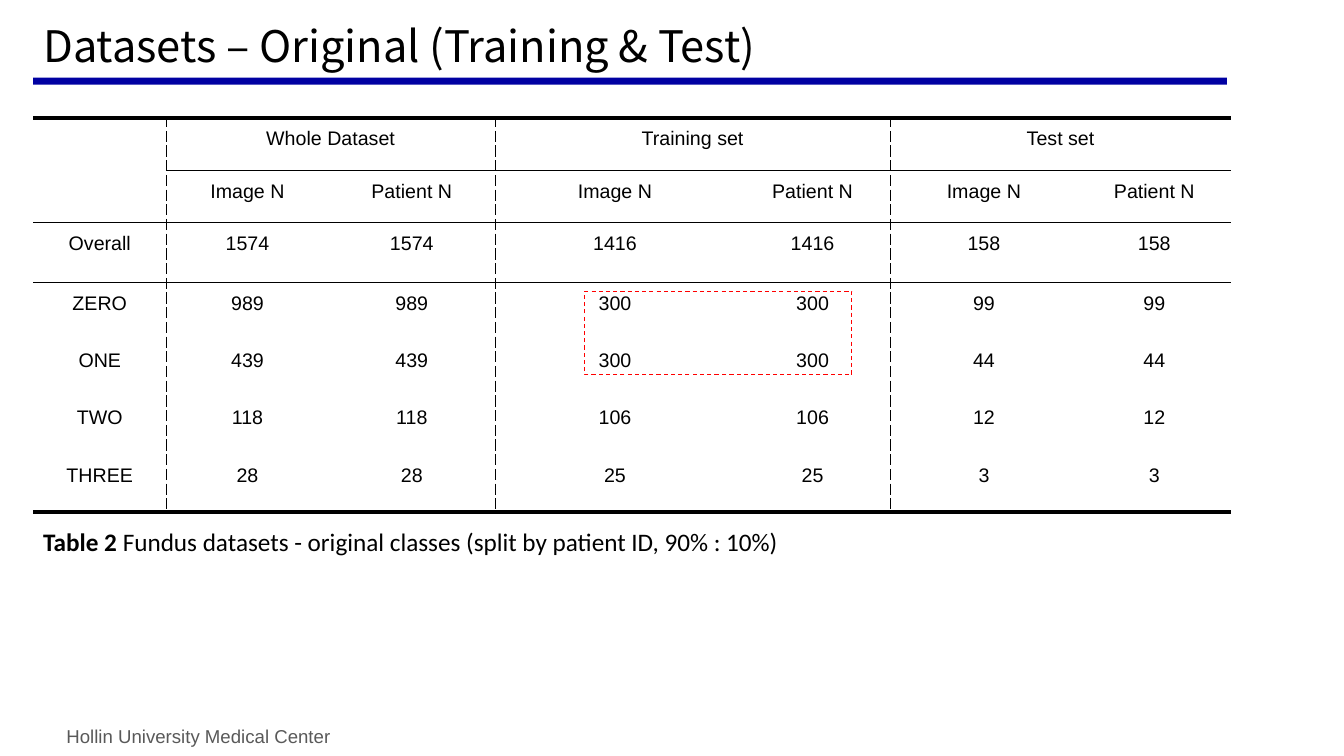
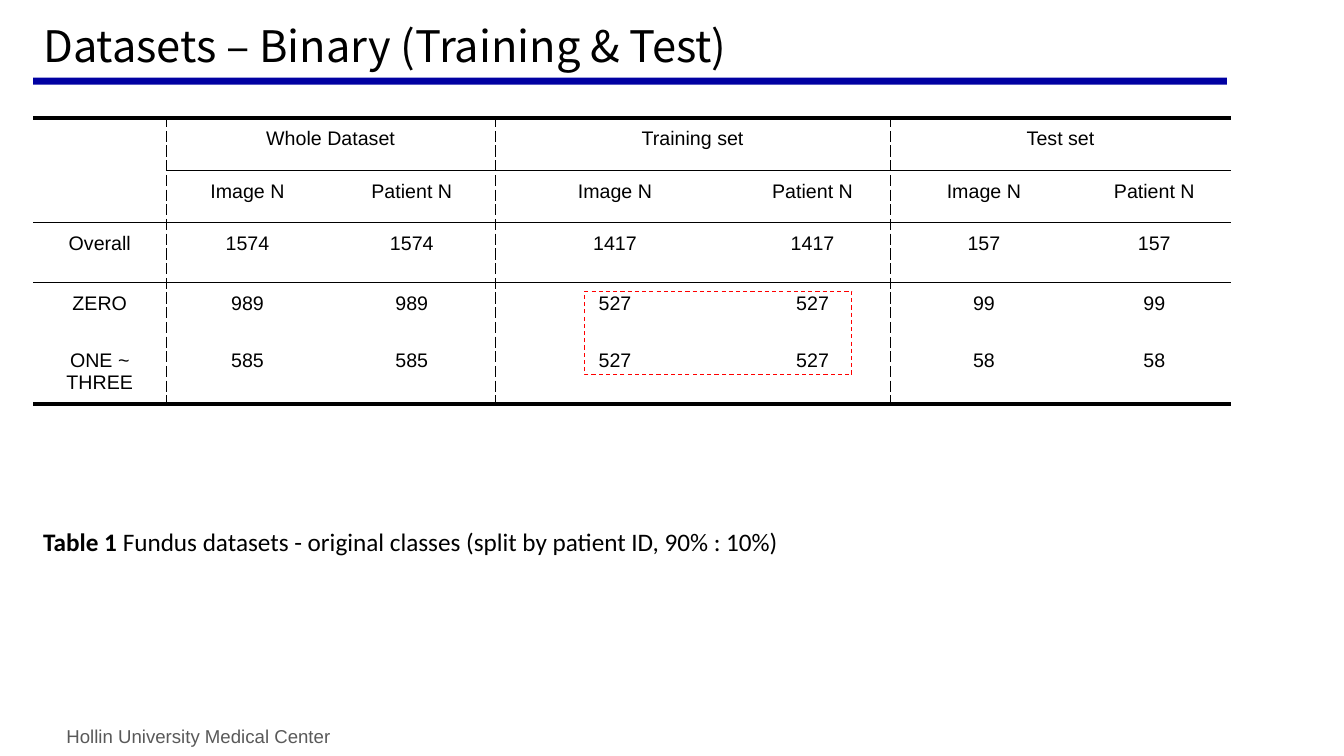
"""Builds two slides that tabulate the fundus datasets."""
from lxml import etree
from pptx import Presentation, util as u
from pptx.dml import color
from pptx.enum import dml, shapes, text
from pptx.oxml import ns

BLACK, GREY, NAVY, RED = "000000", "595959", "0000A2", "FF0000"
LEFT = 0.33
TABLE_TOP = 1.17
COLUMN_WIDTHS = [1.32, 1.61, 1.65, 2.38, 1.54, 1.86, 1.52]
HEADER_HEIGHTS = [0.52, 0.52, 0.59]
CLASS_HEIGHT = 0.57
DIVIDED_COLUMNS = {1, 3, 5}
HEADERS = [
    ["", "Whole Dataset", "", "Training set", "", "Test set", ""],
    [""] + ["Image N", "Patient N"] * 3,
]
CAPTION = "Fundus datasets - original classes (split by patient ID, 90% : 10%)"
SLIDES = [
    ("Datasets – Original (Training & Test)", "Table 2 ", [
        ("Overall", 1574, 1416, 158),
        ("ZERO", 989, 300, 99),
        ("ONE", 439, 300, 44),
        ("TWO", 118, 106, 12),
        ("THREE", 28, 25, 3),
    ]),
    ("Datasets – Binary (Training & Test)", "Table 1 ", [
        ("Overall", 1574, 1417, 157),
        ("ZERO", 989, 527, 99),
        ("ONE ~ THREE", 585, 527, 58),
    ]),
]


def rgb(value):
    """Turn a hex string into a colour."""
    return color.RGBColor.from_string(value)


def box(left, top, width, height):
    """Turn a position and size in inches into lengths."""
    return [u.Inches(value) for value in (left, top, width, height)]


def set_font(paragraph, name, size, colour=BLACK):
    """Set the font of a whole paragraph."""
    paragraph.font.name = name
    paragraph.font.size = u.Pt(size)
    paragraph.font.color.rgb = rgb(colour)


def add_text(slide, place, runs, name, size, colour=BLACK):
    """Add a one-paragraph text box from (text, bold) runs."""
    shape = slide.shapes.add_textbox(*box(*place))
    shape.text_frame.word_wrap = True
    paragraph = shape.text_frame.paragraphs[0]
    set_font(paragraph, name, size, colour)
    for words, bold in runs:
        run = paragraph.add_run()
        run.text = words
        run.font.bold = bold
    return shape


def add_rectangle(slide, place, fill=None, line=None):
    """Add a filled rectangle or a dashed outline."""
    shape = slide.shapes.add_shape(shapes.MSO_SHAPE.RECTANGLE, *box(*place))
    shape.shadow.inherit = False
    if fill:
        shape.fill.solid()
        shape.fill.fore_color.rgb = rgb(fill)
    else:
        shape.fill.background()
    if line:
        shape.line.color.rgb = rgb(line)
        shape.line.width = u.Pt(0.75)
        shape.line.dash_style = dml.MSO_LINE.DASH
    else:
        shape.line.fill.background()
    return shape


def furnish_layout(layout, slide):
    """Give the layout its title place, rule and footer, built on a slide."""
    for placeholder in list(layout.placeholders):
        if placeholder.placeholder_format.type != shapes.PP_PLACEHOLDER.TITLE:
            layout.shapes.element.remove(placeholder.element)
    title = layout.placeholders[0]
    title.left, title.top, title.width, title.height = box(LEFT, 0.21, 12.67, 0.55)
    rule = add_rectangle(slide, (LEFT, 0.77, 11.84, 0.07), fill=NAVY)
    footer = add_text(slide, (0.56, 7.14, 3.43, 0.33),
                      [("Hollin University Medical Center", False)],
                      "Arial", 13.3, GREY)
    for shape in (rule, footer):
        layout.shapes.element.append(shape.element)


def set_title(slide, words):
    """Fill and format the title placeholder."""
    frame = slide.shapes.title.text_frame
    frame.text = words
    frame.auto_size = text.MSO_AUTO_SIZE.NONE
    frame.vertical_anchor = text.MSO_ANCHOR.BOTTOM
    paragraph = frame.paragraphs[0]
    paragraph.alignment = text.PP_ALIGN.LEFT
    paragraph.line_spacing = 0.9
    set_font(paragraph, "Noto Sans CJK KR", 31)


def add_border(cell, side, width, dash="solid"):
    """Draw one side of a cell, or hide it when the width is zero."""
    properties = cell._tc.get_or_add_tcPr()
    line = etree.SubElement(properties, ns.qn(f"a:ln{side}"), w=str(u.Pt(width)))
    if not width:
        etree.SubElement(line, ns.qn("a:noFill"))
        return
    fill = etree.SubElement(line, ns.qn("a:solidFill"))
    etree.SubElement(fill, ns.qn("a:srgbClr"), val=BLACK)
    etree.SubElement(line, ns.qn("a:prstDash"), val=dash)


def rule_width(row, column, row_count):
    """Return the width of the horizontal rule above a row."""
    if row in (0, row_count):
        return 3
    if row == 1:
        return 1 if column else 0
    return 0.75 if row in (2, 3) else 0


def format_cell(cell, words, row, column, row_count):
    """Write a centred cell and draw its borders."""
    cell.margin_left = cell.margin_right = u.Inches(0.1)
    cell.margin_top = cell.margin_bottom = u.Inches(0.1)
    cell.text = str(words)
    paragraph = cell.text_frame.paragraphs[0]
    paragraph.alignment = text.PP_ALIGN.CENTER
    set_font(paragraph, "Arial", 14)
    for side, edge in (("L", column), ("R", column + 1)):
        add_border(cell, side, 0.75 if edge in DIVIDED_COLUMNS else 0, "dash")
    for side, edge in (("T", row), ("B", row + 1)):
        add_border(cell, side, rule_width(edge, column, row_count))
    cell.fill.background()


def add_dataset_table(slide, records):
    """Add the table, with each count given for images and patients."""
    rows = HEADERS + [
        [label] + [count for count in counts for _ in range(2)]
        for label, *counts in records
    ]
    heights = HEADER_HEIGHTS + [CLASS_HEIGHT] * (len(records) - 1)
    place = box(LEFT, TABLE_TOP, sum(COLUMN_WIDTHS), sum(heights))
    table = slide.shapes.add_table(len(rows), len(COLUMN_WIDTHS), *place).table
    table.first_row = table.horz_banding = False
    for column, width in zip(table.columns, COLUMN_WIDTHS):
        column.width = u.Inches(width)
    for row, height in zip(table.rows, heights):
        row.height = u.Inches(height)
    for row, values in enumerate(rows):
        for column, value in enumerate(values):
            format_cell(table.cell(row, column), value, row, column, len(rows))
    table.cell(0, 0).merge(table.cell(1, 0))
    for column in DIVIDED_COLUMNS:
        table.cell(0, column).merge(table.cell(0, column + 1))


def main():
    """Build and save the presentation."""
    presentation = Presentation()
    presentation.slide_width = u.Inches(13.33)
    presentation.slide_height = u.Inches(7.5)
    layout = presentation.slide_layouts.get_by_name("Title Only")
    for index, (title, number, records) in enumerate(SLIDES):
        slide = presentation.slides.add_slide(layout)
        if index == 0:
            furnish_layout(layout, slide)
        set_title(slide, title)
        add_dataset_table(slide, records)
        add_text(slide, (LEFT, 5.17, 9.29, 0.33),
                 [(number, True), (CAPTION, False)], "Calibri", 18)
        add_rectangle(slide, (5.8, 2.89, 2.65, 0.83), line=RED)
    presentation.save("out.pptx")


if __name__ == "__main__":
    main()
